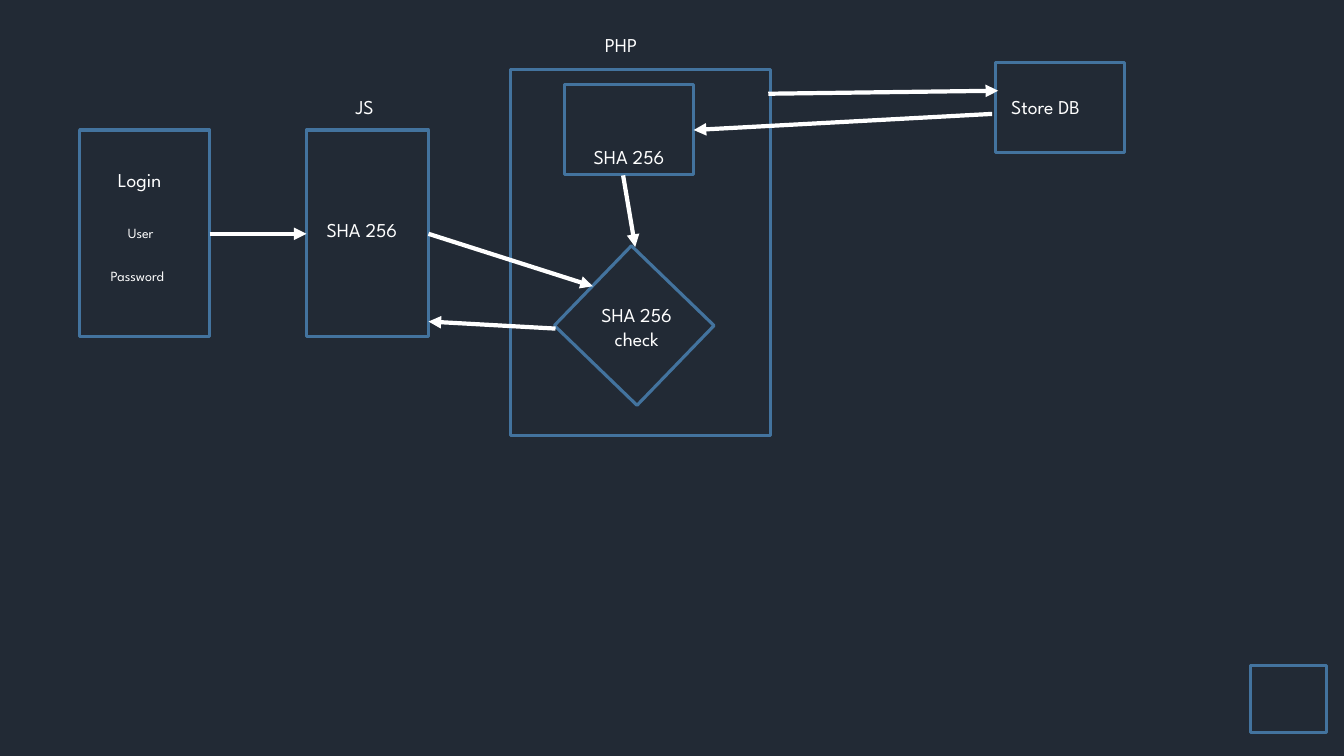
from pptx import Presentation
from pptx.dml.color import RGBColor as Rgb
from pptx.enum.shapes import MSO_CONNECTOR as Connector, MSO_SHAPE as Shape
from pptx.enum.text import MSO_AUTO_SIZE as AutoSize, PP_ALIGN as Align
from pptx.oxml.ns import qn
from pptx.util import Emu, Pt
from lxml.etree import SubElement

PX = 9144  # EMU in one px, 100 px to the inch
COLORS = {"background": "222A35", "outline": "43739E", "light": "FFFFFF"}
FONT = "League Spartan"

# left, top, width, height, rotation
BOXES = {
    "login": (79, 129, 129, 205, 0),
    "script": (304, 129, 121, 205, 0),
    "server": (506, 69, 258, 363, 0),
    "server hash": (560, 84, 128, 89, 0),
    "check": (572, 268, 114, 110, 44),
    "database": (987, 62, 128, 89, 0),
    "corner": (1240, 660, 76, 67, 0),
}

# lines, left, top, width, height, format values that differ from the default
LABELS = [
    (["Login"], 107, 162, 73, 34, {}),
    (["User"], 117, 218, 52, 27, {"size": 10}),
    (["Password"], 100, 260, 87, 27, {"size": 10}),
    (["JS"], 343, 89, 44, 34, {}),
    (["SHA 256"], 314, 211, 101, 34, {}),
    (["PHP"], 551, 28, 130, 34, {"align": Align.CENTER, "wrap": True}),
    (["SHA 256"], 579, 139, 101, 34, {}),
    (["SHA 256", "check"], 581, 296, 101, 57, {"align": Align.CENTER}),
    (["Store DB"], 993, 89, 116, 34, {}),
]

# start x, start y, end x, end y
ARROWS = [
    (208, 232, 304, 232),  # login to script
    (425, 232, 588, 284),  # script to check
    (762, 93, 990, 90),    # server to database
    (984, 113, 688, 129),  # database to server hash
    (618, 174, 630, 245),  # server hash to check
    (551, 326, 425, 319),  # check back to script
]


def px(*lengths):
    return [Emu(length * PX) for length in lengths]


def color(name):
    return Rgb.from_string(COLORS[name])


def set_values(target, values):
    for name, value in values.items():
        setattr(target, name, value)


def add_box(page, left, top, width, height, rotation):
    box = page.shapes.add_shape(Shape.RECTANGLE, *px(left, top, width, height))
    box.rotation = rotation
    box.shadow.inherit = False
    box.fill.background()
    box.line.color.rgb = color("outline")
    box.line.width = Pt(2.25)


def add_label(page, lines, left, top, width, height,
              size=14, align=Align.LEFT, wrap=False):
    frame = page.shapes.add_textbox(*px(left, top, width, height)).text_frame
    set_values(frame, {"word_wrap": wrap,
                       "auto_size": AutoSize.SHAPE_TO_FIT_TEXT})
    for index, line in enumerate(lines):
        para = frame.add_paragraph() if index else frame.paragraphs[0]
        para.alignment = align
        span = para.add_run()
        span.text = line
        set_values(span.font, {"name": FONT, "size": Pt(size)})
        span.font.color.rgb = color("light")


def add_arrow(page, *ends):
    arrow = page.shapes.add_connector(Connector.STRAIGHT, *px(*ends))
    arrow.line.color.rgb = color("light")
    arrow.line.width = Pt(3)
    # Arrowhead at the end, and no shadow
    SubElement(arrow.line._get_or_add_ln(), qn("a:tailEnd"), type="triangle")
    SubElement(arrow._element.spPr, qn("a:effectLst"))


def main():
    deck = Presentation()
    deck.slide_width, deck.slide_height = px(1333, 750)
    page = deck.slides.add_slide(deck.slide_layouts[6])

    # Background
    fill = page.background.fill
    fill.solid()
    fill.fore_color.rgb = color("background")

    # Outlined boxes
    for place in BOXES.values():
        add_box(page, *place)

    # Data flow
    for ends in ARROWS:
        add_arrow(page, *ends)

    # Labels
    for *content, values in LABELS:
        add_label(page, *content, **values)

    deck.save("out.pptx")


if __name__ == "__main__":
    main()
